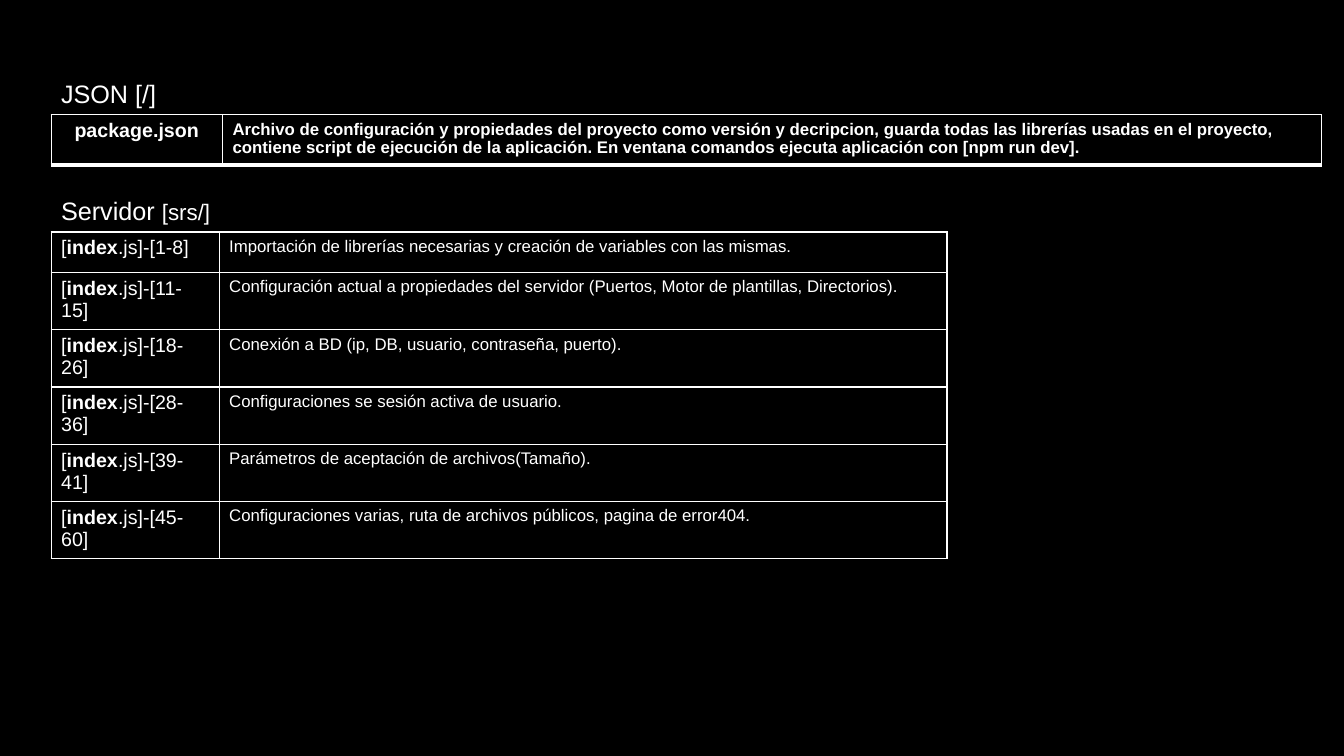
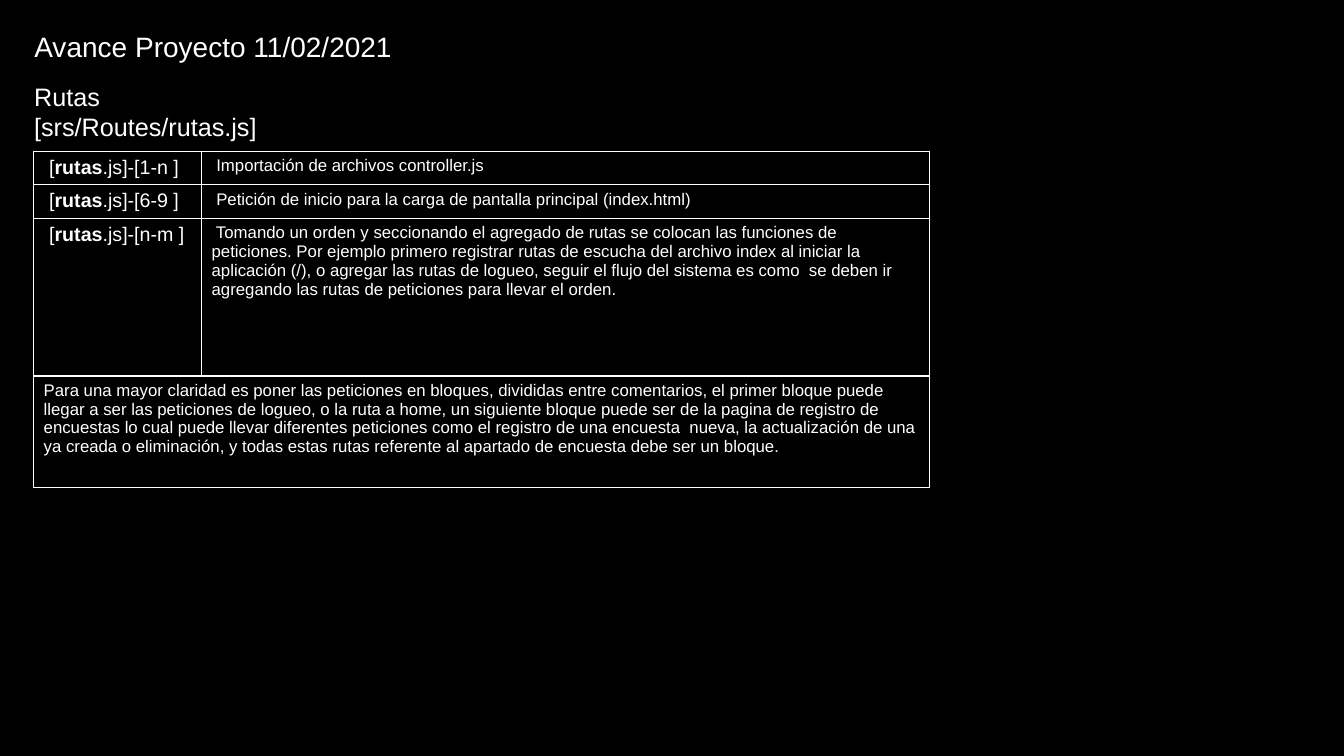
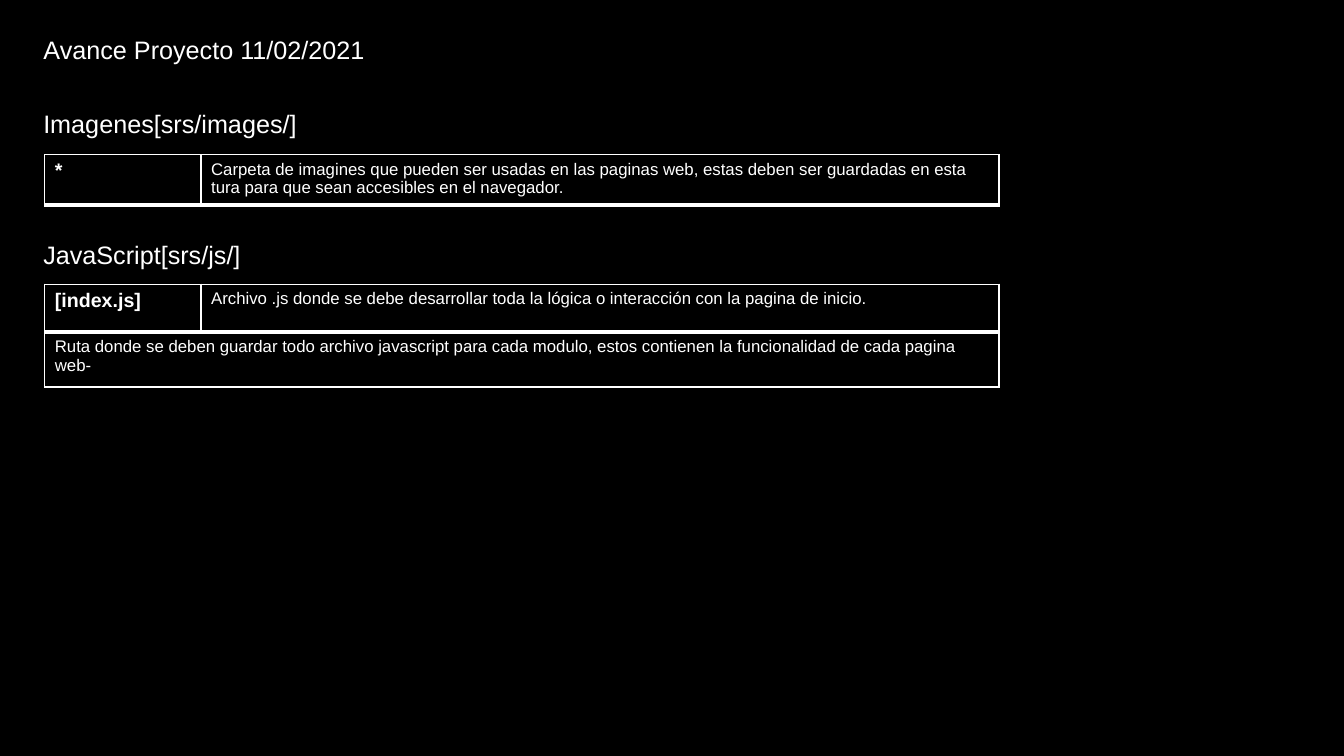
from pptx import Presentation
from pptx.dml.color import RGBColor
from pptx.enum.text import MSO_ANCHOR, MSO_AUTO_SIZE, PP_ALIGN
from pptx.oxml.ns import qn
from pptx.util import Pt
from lxml.etree import SubElement

BLACK = RGBColor(0x00, 0x00, 0x00)
WHITE = RGBColor(0xFF, 0xFF, 0xFF)
FONT = "Arial"
HEADING, LABEL, BODY = 18, 14, 12
THIN, THICK = 1, 3
TITLE_ONLY, BLANK = 5, 6


class Deck:
    """Shared style and the slide being filled."""

    def __init__(self):
        self.prs = Presentation()
        self.prs.slide_width, self.prs.slide_height = Pt(960), Pt(540)
        fill = self.prs.slide_master.background.fill
        fill.solid()
        fill.fore_color.rgb = BLACK
        self.s = None

    def new_slide(self, layout=BLANK):
        self.s = self.prs.slides.add_slide(self.prs.slide_layouts[layout])

    def add_text(self, p, text, size):
        """Add runs to a paragraph; each "|" switches bold on or off."""
        for i, part in enumerate(text.split("|")):
            if part:
                r = p.add_run()
                r.text = part
                r.font.name, r.font.size = FONT, Pt(size)
                r.font.bold = i % 2 == 1
                r.font.color.rgb = WHITE

    def title(self, text, x, y, size):
        sp = self.s.shapes.title
        sp.left, sp.top, sp.width, sp.height = Pt(x), Pt(y), Pt(562), Pt(size * 1.6)
        tf = sp.text_frame
        tf.word_wrap = True
        tf.auto_size = MSO_AUTO_SIZE.NONE
        tf.vertical_anchor = MSO_ANCHOR.TOP
        tf.paragraphs[0].alignment = PP_ALIGN.LEFT
        self.add_text(tf.paragraphs[0], text, size)

    def heading(self, text, x, y, width=300, height=29, suffix=""):
        tf = self.s.shapes.add_textbox(Pt(x), Pt(y), Pt(width), Pt(height)).text_frame
        tf.word_wrap = True
        p = tf.paragraphs[0]
        self.add_text(p, text, HEADING)
        self.add_text(p, suffix, HEADING - 2)

    def border(self, cell, top, bottom):
        tc_pr = cell._tc.get_or_add_tcPr()
        for side, width in (("L", THIN), ("R", THIN), ("T", top), ("B", bottom)):
            ln = SubElement(tc_pr, qn(f"a:ln{side}"), w=str(Pt(width)))
            fill = SubElement(ln, qn("a:solidFill"))
            SubElement(fill, qn("a:srgbClr"), val=str(WHITE))

    def table(self, x, y, cols, heights, rows, thick=(), label_align=PP_ALIGN.LEFT):
        """Rows hold a label and a text, or one text across both columns.

        thick lists the rows that have a heavy line below.
        """
        tb = self.s.shapes.add_table(len(rows), len(cols), Pt(x), Pt(y),
                                     Pt(sum(cols)), Pt(sum(heights))).table
        tb.first_row = tb.horz_banding = False
        for col, width in zip(tb.columns, cols):
            col.width = Pt(width)
        for i, texts in enumerate(rows):
            tb.rows[i].height = Pt(heights[i])
            top = THICK if i - 1 in thick else THIN
            bottom = THICK if i in thick else THIN
            for cell in tb.rows[i].cells:
                self.border(cell, top, bottom)
                cell.fill.solid()
                cell.fill.fore_color.rgb = BLACK
            if len(texts) == 1:
                tb.cell(i, 0).merge(tb.cell(i, 1))
            for j, text in enumerate(texts):
                is_label = j == 0 and len(texts) > 1
                p = tb.cell(i, j).text_frame.paragraphs[0]
                p.alignment = label_align if is_label else PP_ALIGN.LEFT
                self.add_text(p, text, LABEL if is_label else BODY)


def server_slide(d):
    d.new_slide()
    x = 36.5
    d.heading("JSON [/]", x, 52.5)
    d.table(x, 82, (122.4, 784.8), (34,), [
        ("|package.json|",
         "|Archivo de configuración y propiedades del proyecto como versión y decripcion, "
         "guarda todas las librerías usadas en el proyecto, contiene script de ejecución "
         "de la aplicación. En ventana comandos ejecuta aplicación con [npm run dev].|"),
    ], thick=(0,), label_align=PP_ALIGN.CENTER)

    d.heading("Servidor ", x, 136, suffix="[srs/]")
    parts = [
        ("1-8", "Importación de librerías necesarias y creación de variables con las mismas."),
        ("11-15", "Configuración actual a propiedades del servidor "
                  "(Puertos, Motor de plantillas, Directorios)."),
        ("18-26", "Conexión a BD (ip, DB, usuario, contraseña, puerto)."),
        ("28-36", "Configuraciones se sesión activa de usuario."),
        ("39-41", "Parámetros de aceptación de archivos(Tamaño)."),
        ("45-60", "Configuraciones varias, ruta de archivos públicos, pagina de error404."),
    ]
    d.table(x, 165.7, (120, 520), [29] + [40.7] * 5,
            [(f"[|index|.js]-[{lines}]", text) for lines, text in parts])


def routes_slide(d):
    d.new_slide(TITLE_ONLY)
    x = 17.3
    d.title("Avance Proyecto 11/02/2021", x, 17.3, 20)
    d.heading("Rutas [srs/Routes/rutas.js]", x, 54.7, width=190, height=50)
    parts = [
        ("1-n", " Importación de archivos controller.js"),
        ("6-9", " Petición de inicio para la carga de pantalla principal (index.html)"),
        ("n-m", " Tomando un orden y seccionando el agregado de rutas se colocan las "
                "funciones de peticiones. Por ejemplo primero registrar rutas de escucha "
                "del archivo index al iniciar la aplicación (/), o agregar las rutas de "
                "logueo, seguir el flujo del sistema es como  se deben ir agregando las "
                "rutas de peticiones para llevar el orden."),
    ]
    note = ("Para una mayor claridad es poner las peticiones en bloques, divididas entre "
            "comentarios, el primer bloque puede llegar a ser las peticiones de logueo, o la "
            "ruta a home, un siguiente bloque puede ser de la pagina de registro de encuestas "
            "lo cual puede llevar diferentes peticiones como el registro de una encuesta  "
            "nueva, la actualización de una ya creada o eliminación, y todas estas rutas "
            "referente al apartado de encuesta debe ser un bloque.")
    d.table(24, 108, (120, 520), (24, 24, 112.5, 79.5),
            [(f" [|rutas|.js]-[{lines} ]", text) for lines, text in parts] + [(note,)])


def assets_slide(d):
    d.new_slide(TITLE_ONLY)
    x, table_x, cols = 23.8, 32, (111.6, 570)
    d.title("Avance Proyecto 11/02/2021", x, 20.9, HEADING)
    d.heading("Imagenes[srs/images/]", x, 73.6)
    d.table(table_x, 110.5, cols, (36,), [
        ("|*|", "Carpeta de imagines que pueden ser usadas en las paginas web, estas deben "
                "ser guardadas en esta tura para que sean accesibles en el navegador."),
    ], thick=(0,))
    d.heading("JavaScript[srs/js/]", x, 167.2)
    d.table(table_x, 203, cols, (34.3, 39.2), [
        ("|[index.js]|", "Archivo .js donde se debe desarrollar toda la lógica o "
                         "interacción con la pagina de inicio."),
        ("Ruta donde se deben guardar todo archivo javascript para cada modulo, estos "
         "contienen la funcionalidad de cada pagina web-",),
    ], thick=(0,))


def main():
    d = Deck()
    for build in (server_slide, routes_slide, assets_slide):
        build(d)
    d.prs.save("out.pptx")


if __name__ == "__main__":
    main()
